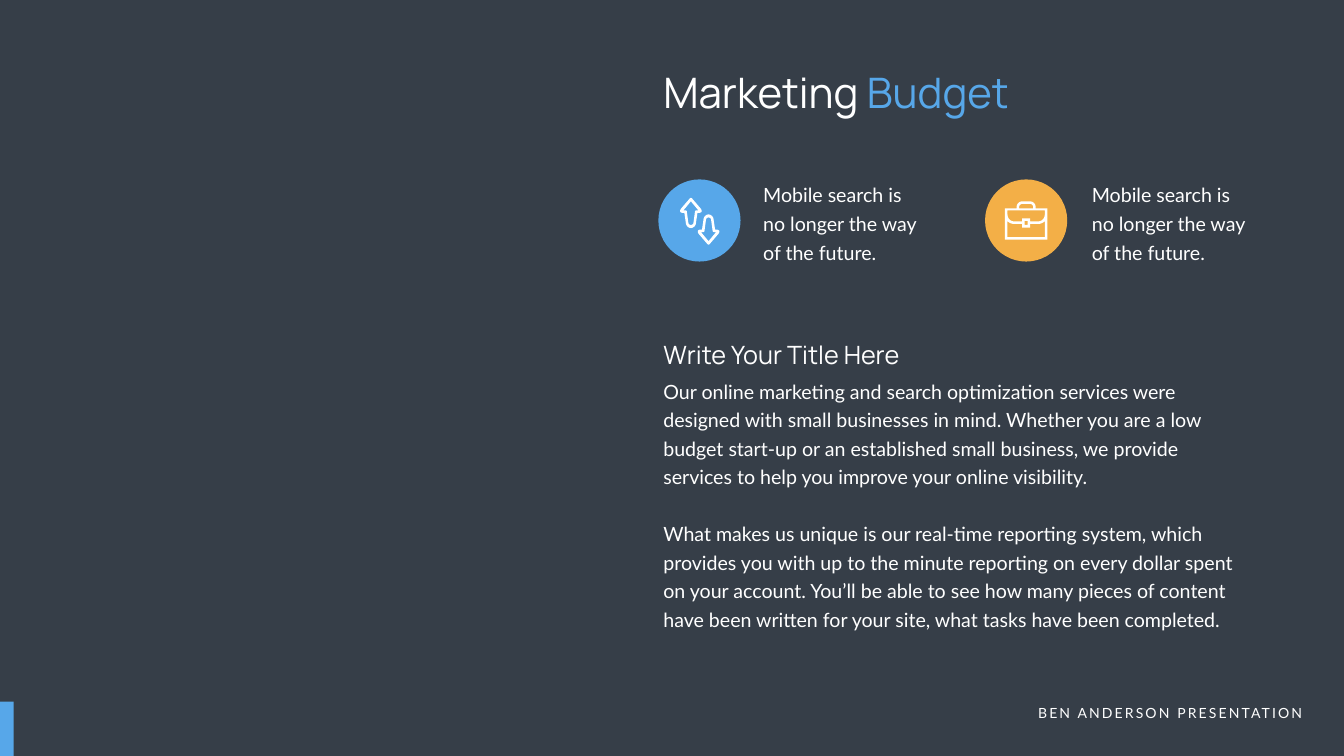
from pptx import Presentation
from pptx.dml.color import RGBColor
from pptx.enum.shapes import MSO_SHAPE
from pptx.enum.text import MSO_AUTO_SIZE, PP_ALIGN
from pptx.util import Inches, Pt

OVAL, RECTANGLE = MSO_SHAPE.OVAL, MSO_SHAPE.RECTANGLE
GROW = MSO_AUTO_SIZE.SHAPE_TO_FIT_TEXT
RIGHT = PP_ALIGN.RIGHT

SLATE = RGBColor(0x36, 0x3E, 0x48)
BLUE = RGBColor(0x57, 0xA7, 0xE9)
ORANGE = RGBColor(0xF3, 0xAF, 0x47)
WHITE = RGBColor(0xFF, 0xFF, 0xFF)

HEAD_FONT, BODY_FONT = "Manrope", "Lato"
LINE = Pt(40.8)
BADGE = 1.63
CURVE_STEPS = 8

# Right halves of symmetric contours, in inches from the top of the axis;
# two numbers are a line, six are a Bézier curve
ARROW = [
    [(0, 0), (0.01, 0, 0.02, 0.01, 0.02, 0.01), (0.2, 0.22),
     (0.21, 0.24, 0.22, 0.26, 0.21, 0.28), (0.2, 0.29, 0.18, 0.3, 0.16, 0.3),
     (0.13, 0.3), (0.1, 0.5), (0.1, 0.55, 0.05, 0.6, 0, 0.6)],
    [(0, 0.07), (0.15, 0.25), (0.11, 0.25),
     (0.09, 0.25, 0.08, 0.26, 0.08, 0.28), (0.05, 0.5),
     (0.05, 0.52, 0.02, 0.54, 0, 0.54)],
]
BRIEFCASE = [
    # Case with handle, then the openings: handle, flap, clasp, lower part
    [(0, 0), (0.07, 0), (0.14, 0, 0.19, 0.05, 0.19, 0.12), (0.19, 0.14),
     (0.42, 0.14), (0.42, 0.76), (0, 0.76)],
    [(0, 0.05), (0.07, 0.05), (0.11, 0.05, 0.14, 0.08, 0.14, 0.12),
     (0.14, 0.14), (0, 0.14)],
    [(0, 0.18), (0.37, 0.18), (0.37, 0.26),
     (0.37, 0.34, 0.31, 0.4, 0.23, 0.4), (0.08, 0.4), (0.08, 0.34), (0, 0.34)],
    [(0, 0.39), (0.03, 0.39), (0.03, 0.47), (0, 0.47)],
    [(0, 0.52), (0.08, 0.52), (0.08, 0.45), (0.23, 0.45),
     (0.28, 0.45, 0.34, 0.43, 0.37, 0.39), (0.37, 0.71), (0, 0.71)],
]


def paint(shape, color):
    shape.shadow.inherit = False
    shape.fill.solid()
    shape.fill.fore_color.rgb = color
    shape.line.fill.background()


def add_block(page, kind, left, top, width, height, color):
    shape = page.shapes.add_shape(
        kind, Inches(left), Inches(top), Inches(width), Inches(height))
    paint(shape, color)


def add_text(page, left, top, width, height, paragraphs, font, size, spacing=None):
    """Each paragraph is a list of (text, color) spans."""
    box = page.shapes.add_textbox(
        Inches(left), Inches(top), Inches(width), Inches(height))
    frame = box.text_frame
    frame.word_wrap = True
    frame.auto_size = GROW
    for index, spans in enumerate(paragraphs):
        para = frame.add_paragraph() if index else frame.paragraphs[0]
        if spacing:
            para.line_spacing = spacing
        for text, color in spans:
            span = para.add_run()
            span.text = text
            span.font.name = font
            span.font.size = Pt(size)
            span.font.color.rgb = color
    return frame


def flatten(half):
    """Turn the curves of a half contour into short lines."""
    points = [half[0]]
    for segment in half[1:]:
        if len(segment) == 2:
            points.append(segment)
            continue
        start, first, second, end = points[-1], segment[:2], segment[2:4], segment[4:]
        for step in range(1, CURVE_STEPS + 1):
            t = step / CURVE_STEPS
            u = 1 - t
            points.append(tuple(
                u**3 * a + 3 * u * u * t * b + 3 * u * t * t * c + t**3 * d
                for a, b, c, d in zip(start, first, second, end)))
    return points


def add_icon(page, halves, axis, top, turn=1):
    """Mirror the halves about the axis; turn=-1 rotates by 180 degrees."""
    builder = None
    for half in halves:
        right = flatten(half)
        outline = right + [(-x, y) for x, y in reversed(right)]
        points = [(Inches(axis + turn * x), Inches(top + turn * y)) for x, y in outline]
        if builder is None:
            builder = page.shapes.build_freeform(*points[0])
        else:
            builder.move_to(*points[0])
        builder.add_line_segments(points[1:], close=True)
    paint(builder.convert_to_shape(), WHITE)


def add_arrows(page, x, y):
    add_icon(page, ARROW, x - 0.17, y - 0.45)
    add_icon(page, ARROW, x + 0.18, y + 0.48, turn=-1)


def add_briefcase(page, x, y):
    add_icon(page, BRIEFCASE, x, y - 0.38)


def add_feature(page, left, top, text_left, color, draw_icon):
    add_block(page, OVAL, left, top, BADGE, BADGE, color)
    draw_icon(page, left + BADGE / 2, top + BADGE / 2)
    add_text(page, text_left, top - 0.07, 3.3, 1.77,
             [[("Mobile search is no longer the way of the future.", WHITE)]],
             BODY_FONT, 28, LINE)


def add_article(page, left, top, width):
    add_text(page, left, top, 6.1, 0.71, [[("Write Your Title Here", WHITE)]],
             HEAD_FONT, 36)
    frame = add_text(page, left, top + 0.7, width, 5.22, [
        [("Our online marketing and search optimization services were designed with "
          "small businesses in mind. Whether you are a low budget start-up or an "
          "established small business, we provide services to help you improve your "
          "online visibility.", WHITE)],
        [("What makes us unique is our real-time reporting system, which provides you "
          "with up to the minute reporting on every dollar spent on your account. "
          "You’ll be able to see how many pieces of content have been written for "
          "your site, what tasks have been completed.", WHITE)],
    ], BODY_FONT, 28, LINE)
    frame.paragraphs[1].space_before = LINE


def add_footer(page, top):
    frame = add_text(page, 20.08, top, 5.85, 0.44,
                     [[("BEN ANDERSON PRESENTATION", WHITE)]], BODY_FONT, 20)
    para = frame.paragraphs[0]
    para.alignment = RIGHT
    para.runs[0]._r.get_or_add_rPr().set("spc", "300")
    add_block(page, RECTANGLE, 0, top, 0.27, 1.08, BLUE)


def main():
    deck = Presentation()
    deck.slide_width, deck.slide_height = Inches(26.66), Inches(15)
    page = deck.slides.add_slide(deck.slide_layouts[6])
    page.background.fill.solid()
    page.background.fill.fore_color.rgb = SLATE

    # Title
    add_text(page, 13.06, 1.28, 8.98, 1.11,
             [[("Marketing ", WHITE), ("Budget", BLUE)]], HEAD_FONT, 60)
    # Features
    add_feature(page, 13.06, 3.56, 15.04, BLUE, add_arrows)
    add_feature(page, 19.54, 3.56, 21.56, ORANGE, add_briefcase)
    # Article and footer
    add_article(page, 13.06, 6.68, 11.79)
    add_footer(page, 13.92)
    deck.save("out.pptx")


if __name__ == "__main__":
    main()
